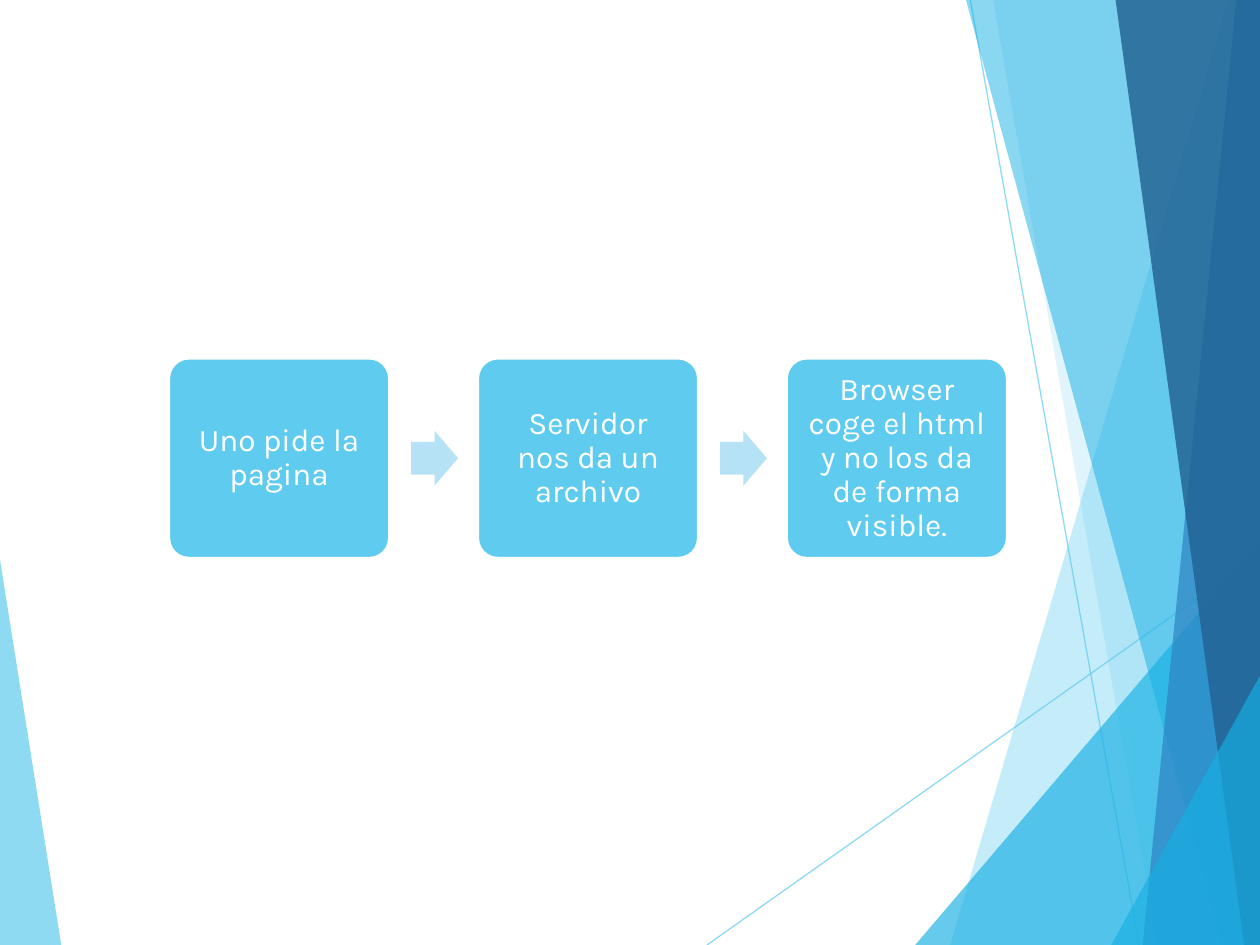
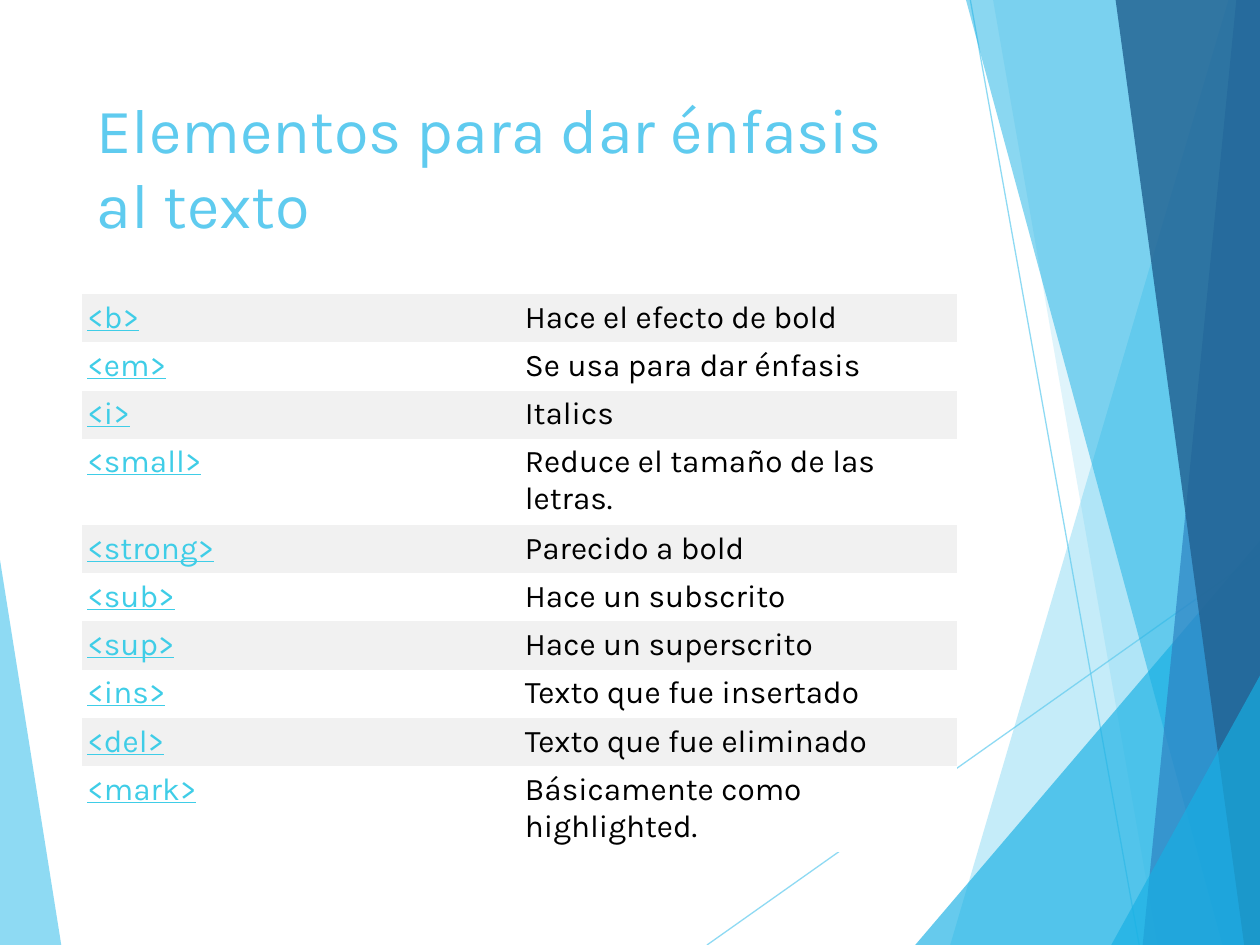
from dataclasses import dataclass
from typing import Any, NamedTuple

from lxml.etree import SubElement
from pptx import Presentation
from pptx.dml.color import RGBColor
from pptx.enum.shapes import MSO_CONNECTOR as Connector, MSO_SHAPE as Preset
from pptx.enum.text import MSO_ANCHOR as Anchor, PP_ALIGN as Align
from pptx.oxml.ns import qn
from pptx.slide import Slide
from pptx.util import Pt


@dataclass(frozen=True)
class Theme:
    font: str = "Karla"
    sky: str = "5FCBEF"
    cyan: str = "17B0E4"
    blue: str = "2E83C3"
    navy: str = "226292"
    pale: str = "B6E2F6"
    tag: str = "3FCDE7"
    stripe: str = "F1F1F1"
    white: str = "FFFFFF"
    black: str = "000000"
    title_size: int = 36
    body_size: int = 18


class Facet(NamedTuple):
    color: str
    opacity: int
    points: tuple[tuple[float, float], ...]


class Ray(NamedTuple):
    start: tuple[float, float]
    end: tuple[float, float]


class Element(NamedTuple):
    tag: str
    meaning: str
    lines: int = 1


THEME = Theme()
WIDTH, HEIGHT = 720, 540
NO_GRID_STYLE = "{2D5ABB26-0587-4C30-8999-92F81FD0307C}"

LEFT_FACET = Facet(THEME.sky, 70, ((0, 320), (35, HEIGHT), (0, HEIGHT)))
RAYS = (Ray((404, HEIGHT), (WIDTH, 316.5)), Ray((554.5, 0), (651, HEIGHT)))
RIGHT_FACETS = (
    Facet(THEME.sky, 36, ((702, 0), (543, HEIGHT), (WIDTH, HEIGHT), (WIDTH, 0))),
    Facet(THEME.sky, 20, ((567.5, 0), (661.5, HEIGHT), (WIDTH, HEIGHT), (WIDTH, 0))),
    Facet(THEME.cyan, 66, ((523, HEIGHT), (WIDTH, 309), (WIDTH, HEIGHT))),
    Facet(THEME.cyan, 50, ((552, 0), (698.5, HEIGHT), (WIDTH, HEIGHT), (WIDTH, 0))),
    Facet(THEME.blue, 70, ((706.5, 0), (653, HEIGHT), (WIDTH, HEIGHT), (WIDTH, 0))),
    Facet(THEME.navy, 82, ((637.5, 0), (711, HEIGHT), (WIDTH, HEIGHT), (WIDTH, 0))),
    Facet(THEME.cyan, 66, ((635, HEIGHT), (WIDTH, 386), (WIDTH, HEIGHT))),
)

STEPS = (
    "Uno pide la pagina",
    "Servidor nos da un archivo",
    "Browser coge el html y no los da de forma visible.",
)
ELEMENTS = (
    Element("<b>", "Hace el efecto de bold"),
    Element("<em>", "Se usa para dar énfasis"),
    Element("<i>", "Italics"),
    Element("<small>", "Reduce el tamaño de las letras.", 2),
    Element("<strong>", "Parecido a bold"),
    Element("<sub>", "Hace un subscrito"),
    Element("<sup>", "Hace un superscrito"),
    Element("<ins>", "Texto que fue insertado"),
    Element("<del>", "Texto que fue eliminado"),
    Element("<mark>", "Básicamente como highlighted.", 2),
)


def apply(target: Any, values: dict[str, Any]) -> None:
    for attribute, value in values.items():
        setattr(target, attribute, value)


def margins(size: float) -> dict[str, Any]:
    return {f"margin_{side}": Pt(size) for side in ("left", "top", "right", "bottom")}


def paint(fill: Any, color: str) -> None:
    fill.solid()
    fill.fore_color.rgb = RGBColor.from_string(color)


def set_opacity(element: Any, percent: int) -> None:
    color = next(element.iter(qn("a:srgbClr")))
    SubElement(color, qn("a:alpha"), val=str(percent * 1000))


def write(frame: Any, text: str, color: str, size: int, underline: bool = False) -> Any:
    paragraph = frame.paragraphs[0]
    run = paragraph.add_run()
    run.text = text
    apply(run.font, {"name": THEME.font, "size": Pt(size), "underline": underline})
    run.font.color.rgb = RGBColor.from_string(color)
    return paragraph


def draw_facet(slide: Slide, facet: Facet) -> None:
    first, *rest = [(Pt(x), Pt(y)) for x, y in facet.points]
    outline = slide.shapes.build_freeform(*first)
    outline.add_line_segments(rest)
    pane = outline.convert_to_shape()
    pane.shadow.inherit = False
    pane.line.fill.background()
    paint(pane.fill, facet.color)
    set_opacity(pane.fill._xPr, facet.opacity)


def draw_ray(slide: Slide, ray: Ray) -> None:
    ends = [Pt(value) for value in ray.start + ray.end]
    beam = slide.shapes.add_connector(Connector.STRAIGHT, *ends)
    beam.line.width = Pt(0.75)
    paint(beam.line.fill, THEME.sky)
    properties = beam._element.spPr
    set_opacity(properties, 70)
    SubElement(properties, qn("a:effectLst"))


def add_backdrop_slide(deck: Any) -> Slide:
    slide = deck.slides.add_slide(deck.slide_layouts[6])
    paint(slide.background.fill, THEME.white)
    draw_facet(slide, LEFT_FACET)
    for ray in RAYS:
        draw_ray(slide, ray)
    for facet in RIGHT_FACETS:
        draw_facet(slide, facet)
    return slide


def draw_preset(slide: Slide, preset: Any, box: tuple[float, ...], color: str,
                adjustments: tuple[float, ...]) -> Any:
    shape = slide.shapes.add_shape(preset, *[Pt(value) for value in box])
    shape.shadow.inherit = False
    paint(shape.fill, color)
    shape.line.fill.background()
    for index, value in enumerate(adjustments):
        shape.adjustments[index] = value
    return shape


def draw_step(slide: Slide, left: float, text: str) -> None:
    card = draw_preset(slide, Preset.ROUNDED_RECTANGLE, (left, 204.75, 126, 114.25),
                       THEME.sky, (0.1,))
    paint(card.line.fill, THEME.white)
    card.line.width = Pt(1.5)
    apply(card.text_frame, {"word_wrap": True, "vertical_anchor": Anchor.MIDDLE, **margins(8.5)})
    paragraph = write(card.text_frame, text, THEME.white, THEME.body_size)
    apply(paragraph, {"alignment": Align.CENTER, "line_spacing": 0.9})


def draw_flow(slide: Slide) -> None:
    first_left, pitch = 96.5, 176.5
    for index, text in enumerate(STEPS):
        left = first_left + index * pitch
        draw_step(slide, left, text)
        if index < len(STEPS) - 1:
            draw_preset(slide, Preset.RIGHT_ARROW, (left + 138.5, 246.25, 26.75, 31.25),
                        THEME.pale, (0.6, 0.5))


def draw_title(slide: Slide, text: str) -> None:
    title = slide.shapes.add_textbox(Pt(48), Pt(48), Pt(500), Pt(104)).text_frame
    apply(title, {"word_wrap": True, "vertical_anchor": Anchor.TOP})
    write(title, text, THEME.sky, THEME.title_size)


def draw_elements(slide: Slide) -> None:
    heights = [6 + 21 * element.lines for element in ELEMENTS]
    table = slide.shapes.add_table(len(ELEMENTS), 2, Pt(47), Pt(168), Pt(500),
                                   Pt(sum(heights))).table
    apply(table, {"first_row": False, "horz_banding": False})
    table._tbl.tblPr.find(qn("a:tableStyleId")).text = NO_GRID_STYLE
    for index, (element, height) in enumerate(zip(ELEMENTS, heights)):
        table.rows[index].height = Pt(height)
        tag, meaning = table.rows[index].cells
        for cell in (tag, meaning):
            apply(cell, margins(3))
            paint(cell.fill, THEME.white if index % 2 else THEME.stripe)
        write(tag.text_frame, element.tag, THEME.tag, THEME.body_size, underline=True)
        write(meaning.text_frame, element.meaning, THEME.black, THEME.body_size)


def main() -> None:
    deck = Presentation()
    apply(deck, {"slide_width": Pt(WIDTH), "slide_height": Pt(HEIGHT)})
    draw_flow(add_backdrop_slide(deck))
    emphasis = add_backdrop_slide(deck)
    draw_title(emphasis, "Elementos para dar énfasis al texto")
    draw_elements(emphasis)
    deck.save("out.pptx")


if __name__ == "__main__":
    main()
